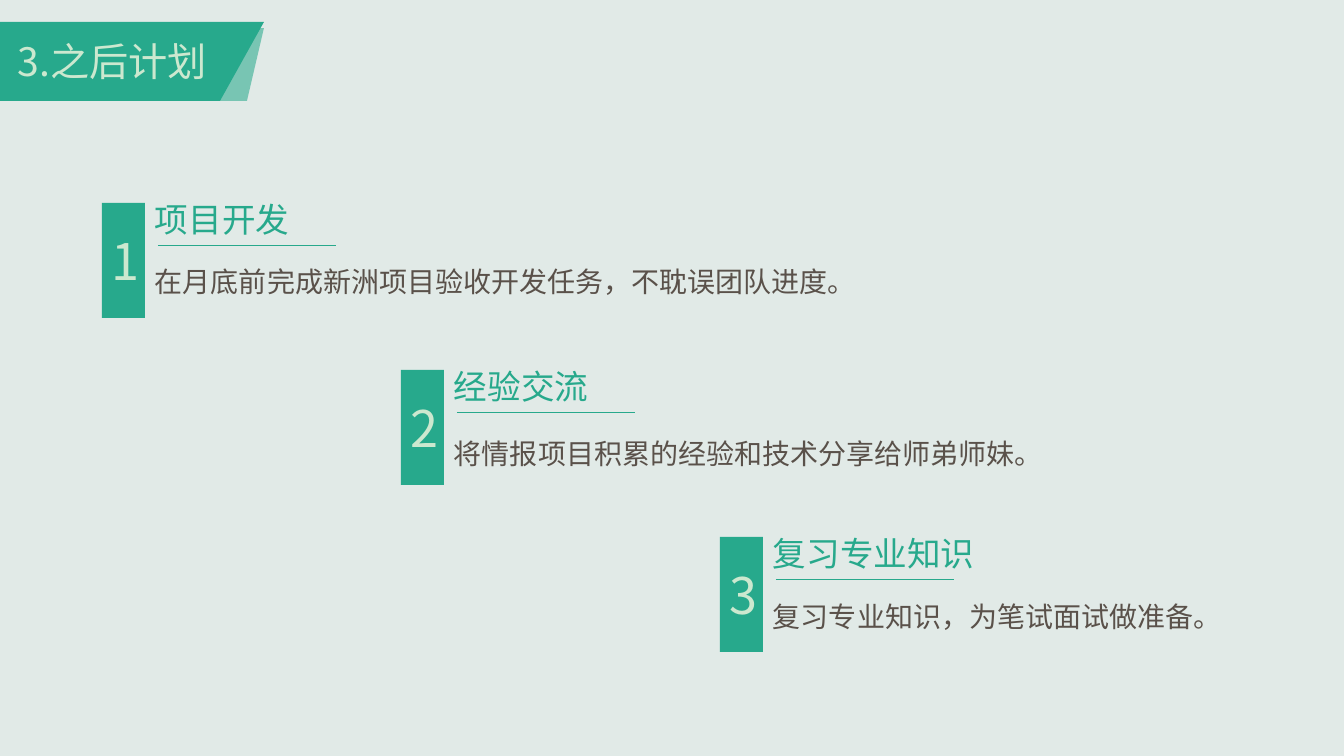
from lxml import etree
from pptx import Presentation
from pptx.dml.color import RGBColor
from pptx.enum.shapes import MSO_CONNECTOR, MSO_SHAPE
from pptx.enum.text import MSO_ANCHOR, MSO_AUTO_SIZE, PP_ALIGN
from pptx.oxml.ns import qn
from pptx.util import Emu, Pt

RECT = MSO_SHAPE.RECTANGLE
LINE = MSO_CONNECTOR.STRAIGHT
MIDDLE = MSO_ANCHOR.MIDDLE
GROW = MSO_AUTO_SIZE.SHAPE_TO_FIT_TEXT
LEFT, CENTER = PP_ALIGN.LEFT, PP_ALIGN.CENTER

SCALE = 914400 / 100.8
GREEN, PALE, BROWN, BACK = "27A98C", "CCE8CF", "5A514A", "E1EAE7"
SANS_JP, SANS_SC = "Noto Sans CJK JP", "Noto Sans CJK SC"


def px(n):
    return Emu(round(n * SCALE))


def color(text):
    return RGBColor.from_string(text)


class Deck:
    def __init__(self, wide, high):
        self.file = Presentation()
        self.file.slide_width = px(wide)
        self.file.slide_height = px(high)

    def page(self, back):
        self.slide = self.file.slides.add_slide(self.file.slide_layouts[6])
        fill = self.slide.background.fill
        fill.solid()
        fill.fore_color.rgb = color(back)

    def paint(self, shape, tone, alpha=None):
        shape.shadow.inherit = False
        shape.fill.solid()
        shape.fill.fore_color.rgb = color(tone)
        shape.line.fill.background()
        if alpha:
            node = shape.fill._xPr.find(".//" + qn("a:srgbClr"))
            etree.SubElement(node, qn("a:alpha"), val=str(alpha * 1000))

    def shape(self, points, tone, alpha=None):
        form = self.slide.shapes.build_freeform(*points[0], scale=SCALE)
        form.add_line_segments(points[1:], close=True)
        self.paint(form.convert_to_shape(), tone, alpha)

    def letter(self, frame, runs, size, tone, align):
        para = frame.paragraphs[0]
        para.alignment = align
        for text, face in runs:
            run = para.add_run()
            run.text = text
            font = run.font
            font.size = Pt(size)
            font.color.rgb = color(tone)
            font.name = face
            etree.SubElement(font._element, qn("a:ea"), typeface=face)

    def text(self, box, runs, size, tone, align=LEFT):
        frame = self.slide.shapes.add_textbox(*map(px, box)).text_frame
        frame.word_wrap = True
        frame.auto_size = GROW
        self.letter(frame, runs, size, tone, align)

    def badge(self, box, label):
        rect = self.slide.shapes.add_shape(RECT, *map(px, box))
        self.paint(rect, GREEN)
        rect.text_frame.vertical_anchor = MIDDLE
        self.letter(rect.text_frame, [(label, SANS_SC)], 36, PALE, CENTER)

    def rule(self, x, y, wide):
        line = self.slide.shapes.add_connector(LINE, px(x), px(y), px(x + wide), px(y))
        line.line.color.rgb = color(GREEN)
        line.line.width = Pt(0.5)
        etree.SubElement(line._element.spPr, qn("a:effectLst"))

    def step(self, x, y, label, head, head_wide, body, body_wide, drop):
        self.badge((x, y, 43, 115), label)
        self.rule(x + 56, y + 42, 178)
        self.text((x + 43, y - 9, head_wide, 50), [(head, SANS_JP)], 24, GREEN)
        self.text((x + 43, y + drop, body_wide, 44), [(body, SANS_JP)], 20, BROWN)


STEPS = [
    (102, "项目开发", 618, "在月底前完成新洲项目验收开发任务，不耽误团队进度。", 701, 57),
    (401, "经验交流", 262, "将情报项目积累的经验和技术分享给师弟师妹。", 618, 62),
    (720, "复习专业知识", 262, "复习专业知识，为笔试面试做准备。", 498, 58),
]


def main():
    deck = Deck(1344, 756)
    deck.page(BACK)
    deck.shape([(0, 28), (264, 28), (247, 101), (0, 101)], GREEN, 56)
    deck.shape([(0, 22), (264, 22), (220, 101), (0, 101)], GREEN)
    title = [("3.之", SANS_SC), ("后计划", SANS_JP)]
    deck.text((-2, 32, 229, 57), title, 28, PALE, CENTER)
    for i, (x, *rest) in enumerate(STEPS):
        deck.step(x, 203 + 167 * i, str(i + 1), *rest)
    deck.file.save("out.pptx")


if __name__ == "__main__":
    main()
